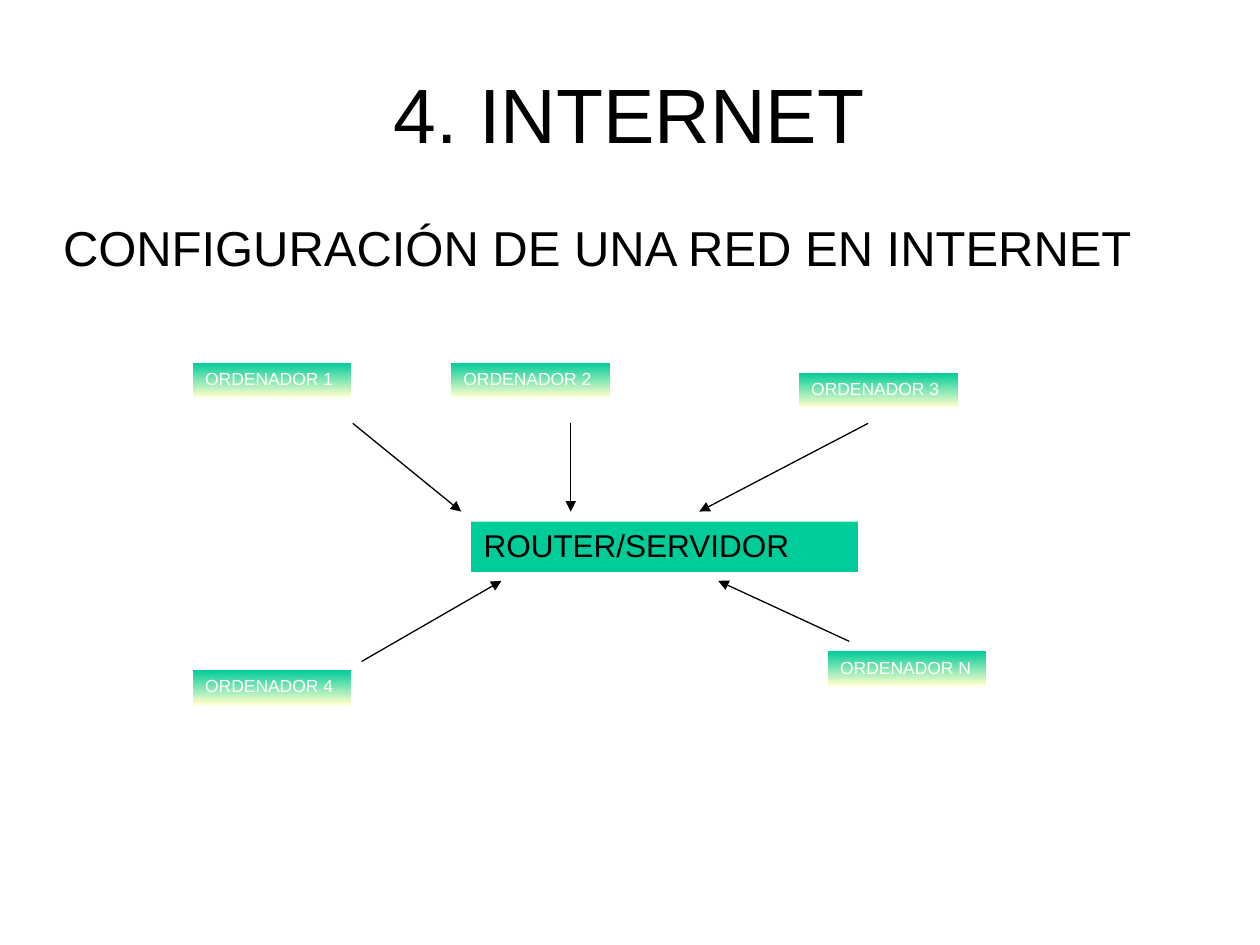
from typing import NamedTuple

from lxml.etree import SubElement
from pptx import Presentation
from pptx.dml.color import RGBColor
from pptx.enum.shapes import MSO_CONNECTOR, MSO_SHAPE
from pptx.enum.text import MSO_ANCHOR, PP_ALIGN
from pptx.oxml.ns import qn
from pptx.util import Inches, Pt

BLACK, WHITE = "000000", "FFFFFF"
GREEN, CREAM = "00CC99", "FFFFCC"
NODE_W, NODE_H = 1.26, 0.27
PAD = {"margin_left": Inches(0.1), "margin_right": Inches(0.1),
       "margin_top": Inches(0.05), "margin_bottom": Inches(0.05)}
FLUSH = dict.fromkeys(PAD, 0)


class Node(NamedTuple):
    name: str
    left: float
    top: float


class Arrow(NamedTuple):
    x1: float
    y1: float
    x2: float
    y2: float


NODES = [
    Node("1", 1.53, 2.88),
    Node("2", 3.58, 2.88),
    Node("3", 6.34, 2.96),
    Node("4", 1.53, 5.32),
    Node("N", 6.57, 5.17),
]
ARROWS = [
    Arrow(2.8, 3.36, 3.66, 4.06),
    Arrow(4.53, 3.36, 4.53, 4.06),
    Arrow(6.89, 3.36, 5.55, 4.06),
    Arrow(6.74, 5.09, 5.7, 4.61),
    Arrow(2.87, 5.25, 3.98, 4.61),
]


def color(code: str) -> RGBColor:
    return RGBColor.from_string(code)


def write(shape, text: str, size: float, ink: str, pad: dict,
          align=PP_ALIGN.LEFT, anchor=MSO_ANCHOR.TOP) -> None:
    frame = shape.text_frame
    form = {"word_wrap": True, "vertical_anchor": anchor, **pad}
    for key, value in form.items():
        setattr(frame, key, value)
    para = frame.paragraphs[0]
    para.text = text
    para.alignment = align
    para.line_spacing = 0.98
    font = para.runs[0].font
    for key, value in {"name": "Arial", "size": Pt(size)}.items():
        setattr(font, key, value)
    font.color.rgb = color(ink)


def add_text(slide, top: float, height: float, text: str, size: float,
             **form) -> None:
    box = slide.shapes.add_textbox(
        Inches(0.5), Inches(top), Inches(8.99), Inches(height))
    write(box, text, size, BLACK, FLUSH, **form)


def add_box(slide, left: float, top: float, width: float, height: float):
    """Add a plain rectangle with no outline and no shadow."""
    box = slide.shapes.add_shape(
        MSO_SHAPE.RECTANGLE, Inches(left), Inches(top),
        Inches(width), Inches(height))
    box.shadow.inherit = False
    box.line.fill.background()
    return box


def add_node(slide, node: Node) -> None:
    box = add_box(slide, node.left, node.top, NODE_W, NODE_H)
    box.fill.gradient()
    box.fill.gradient_angle = 270
    for stop, place, code in zip(box.fill.gradient_stops, (0, 1), (GREEN, CREAM)):
        stop.position = place
        stop.color.rgb = color(code)
    write(box, f"ORDENADOR {node.name}", 10, WHITE, PAD)


def add_router(slide) -> None:
    box = add_box(slide, 3.74, 4.14, 3.07, 0.4)
    box.fill.solid()
    box.fill.fore_color.rgb = color(GREEN)
    write(box, "ROUTER/SERVIDOR", 18, BLACK, PAD)


def add_arrow(slide, arrow: Arrow) -> None:
    link = slide.shapes.add_connector(
        MSO_CONNECTOR.STRAIGHT, *(Inches(value) for value in arrow))
    link.line.width = Pt(0.75)
    link.line.color.rgb = color(BLACK)
    props = link.element.spPr
    SubElement(props.find(qn("a:ln")), qn("a:tailEnd"), type="triangle")
    SubElement(props, qn("a:effectLst"))


def main() -> None:
    deck = Presentation()
    deck.slide_width, deck.slide_height = Inches(10), Inches(7.5)
    slide = deck.slides.add_slide(deck.slide_layouts[6])
    add_text(slide, 0.14, 1.57, "4. INTERNET", 44,
             align=PP_ALIGN.CENTER, anchor=MSO_ANCHOR.MIDDLE)
    add_text(slide, 1.75, 0.66, "CONFIGURACIÓN DE UNA RED EN INTERNET", 28)
    for node in NODES:
        add_node(slide, node)
    add_router(slide)
    for arrow in ARROWS:
        add_arrow(slide, arrow)
    deck.save("out.pptx")


if __name__ == "__main__":
    main()
